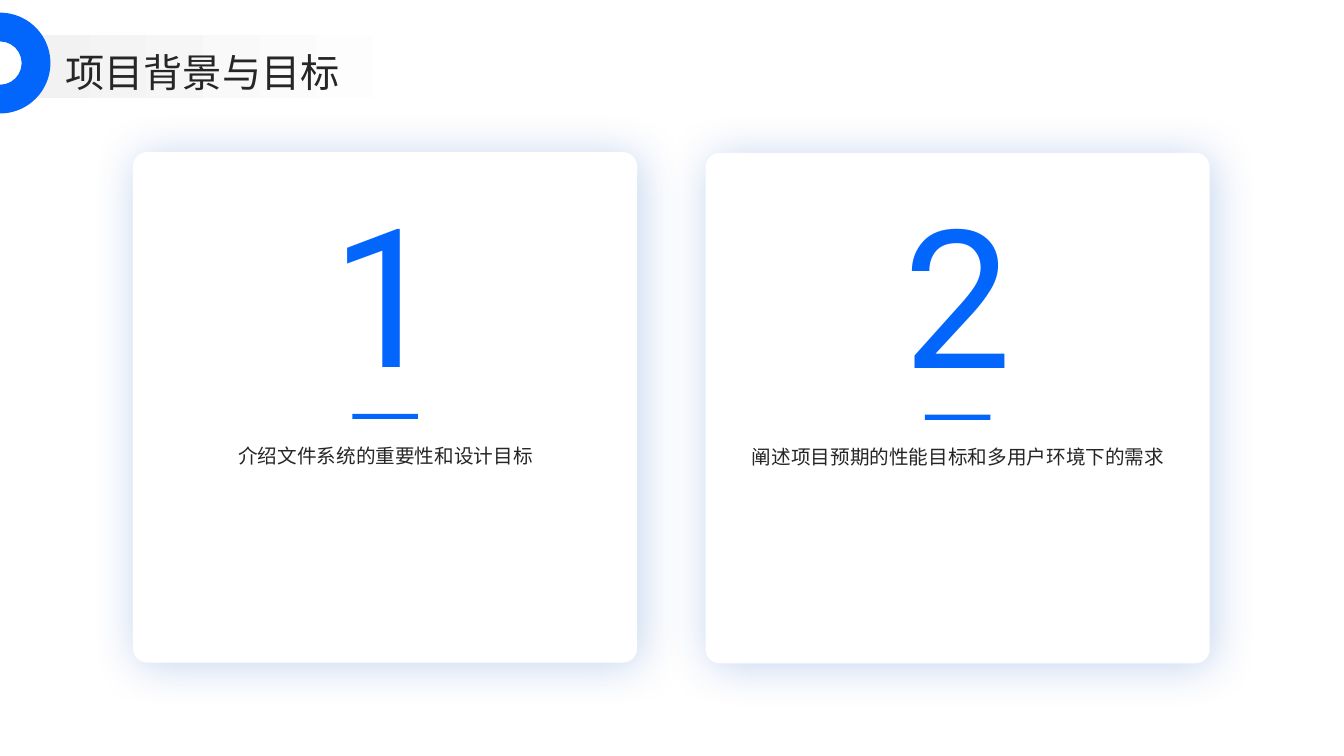
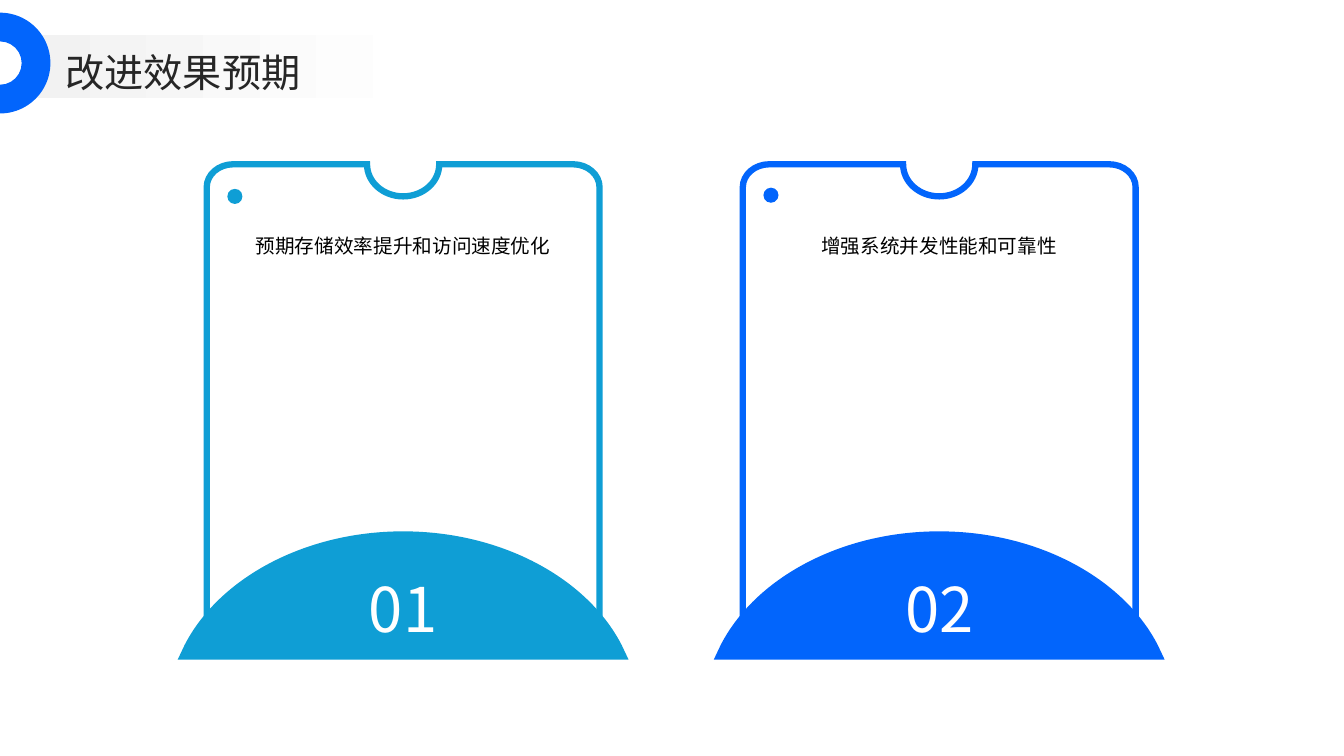
from dataclasses import dataclass

from lxml.etree import SubElement
from pptx import Presentation
from pptx.dml.color import RGBColor
from pptx.enum.shapes import MSO_SHAPE
from pptx.enum.text import MSO_ANCHOR, MSO_AUTO_SIZE, PP_ALIGN
from pptx.oxml.ns import qn
from pptx.presentation import Presentation as Deck
from pptx.shapes.autoshape import Shape
from pptx.slide import Slide
from pptx.text.text import TextFrame
from pptx.util import Cm, Pt

BLUE = RGBColor(0x02, 0x65, 0xFC)
CYAN = RGBColor(0x0F, 0x9E, 0xD5)
NAVY = RGBColor(0x01, 0x4C, 0xBD)
INK = RGBColor(0x26, 0x26, 0x26)
PALE = RGBColor(0xF2, 0xF2, 0xF2)
BLACK = RGBColor(0, 0, 0)
WHITE = RGBColor(0xFF, 0xFF, 0xFF)
SANS = "Noto Sans CJK SC"

Point = tuple[float, float]
Box = tuple[float, float, float, float]


@dataclass(frozen=True)
class Goal:
    label: str
    text: str
    left: float
    top: float


@dataclass(frozen=True)
class Badge:
    label: str
    text: str
    mid: float
    dot: float
    color: RGBColor


@dataclass(frozen=True)
class Half:
    kinds: str
    points: list[Point]


GOALS = [
    Goal("1", "介绍文件系统的重要性和设计目标", 3.37, 3.85),
    Goal("2", "阐述项目预期的性能目标和多用户环境下的需求", 17.8, 3.87),
]
BADGES = [
    Badge("01", "预期存储效率提升和访问速度优化", 10.16, 4.76, CYAN),
    Badge("02", "增强系统并发性能和可靠性", 23.67, 4.73, BLUE),
]
FRAME = Half("CLCLC", [
    (0, 0.81), (0.5, 0.81), (0.91, 0.45), (0.91, 0),
    (4.28, 0), (4.65, 0), (4.95, 0.26), (4.95, 0.58),
    (4.95, 11.41), (4.95, 11.73), (4.65, 11.99), (4.28, 11.99),
])
DOME = Half("CL", [(0, 0), (2.49, 0), (4.65, 1.19), (5.51, 2.87), (5.68, 3.23)])


def write(frame: TextFrame, text: str, *, size: float, color: RGBColor,
          font: str = SANS, align: PP_ALIGN = PP_ALIGN.CENTER,
          anchor: MSO_ANCHOR = MSO_ANCHOR.MIDDLE, space: float = 1.0) -> None:
    frame.word_wrap = True
    frame.auto_size = MSO_AUTO_SIZE.NONE
    frame.vertical_anchor = anchor
    frame.margin_left = frame.margin_right = 0
    frame.margin_top = frame.margin_bottom = 0
    para = frame.paragraphs[0]
    para.alignment = align
    para.line_spacing = space
    run = para.add_run()
    run.text = text
    run.font.size = Pt(size)
    run.font.color.rgb = color
    run.font.name = font
    SubElement(run._r.get_or_add_rPr(), qn("a:ea"), typeface=font)


def label(slide: Slide, box: Box, text: str, **style) -> None:
    area = slide.shapes.add_textbox(*map(Cm, box))
    write(area.text_frame, text, **style)


def paint(shape: Shape, fill: RGBColor, line: RGBColor | None = None,
          width: float = 1) -> None:
    shape.shadow.inherit = False
    shape.fill.solid()
    shape.fill.fore_color.rgb = fill
    if line is None:
        shape.line.fill.background()
    else:
        shape.line.color.rgb = line
        shape.line.width = Pt(width)
        SubElement(shape.element.spPr.find(qn("a:ln")), qn("a:miter"), lim="800000")


def draw(slide: Slide, kind: MSO_SHAPE, box: Box, fill: RGBColor,
         line: RGBColor | None = None) -> Shape:
    shape = slide.shapes.add_shape(kind, *map(Cm, box))
    paint(shape, fill, line)
    return shape


def glow(shape: Shape) -> None:
    effect = shape.element.spPr.find(qn("a:effectLst"))
    outer = SubElement(effect, qn("a:outerShdw"), blurRad=str(Pt(33)),
                       dist=str(Pt(3)), dir="2700000", algn="ctr", rotWithShape="0")
    tint = SubElement(outer, qn("a:srgbClr"), val=str(NAVY))
    SubElement(tint, qn("a:alpha"), val="24000")


def bend(shape: Shape, kinds: str) -> None:
    route = next(shape.element.iter(qn("a:path")))
    lines = iter(route.findall(qn("a:lnTo")))
    for kind in kinds:
        first = next(lines)
        if kind == "C":
            for extra in (next(lines), next(lines)):
                first.append(extra[0])
                route.remove(extra)
            first.tag = qn("a:cubicBezTo")


def mirror(slide: Slide, mid: float, top: float, half: Half) -> Shape:
    both = half.points + [(-x, y) for x, y in reversed(half.points)]
    spots = [(Cm(mid + x), Cm(top + y)) for x, y in both]
    pen = slide.shapes.build_freeform(*spots[0])
    pen.add_line_segments(spots[1:], close=True)
    shape = pen.convert_to_shape()
    bend(shape, half.kinds + "L" + half.kinds[::-1])
    return shape


def start(deck: Deck, text: str) -> Slide:
    slide = deck.slides.add_slide(deck.slide_layouts[5])
    title = slide.shapes.title
    title.left, title.top, title.width, title.height = map(Cm, (1.65, 1.1, 30.18, 1.3))
    write(title.text_frame, text, size=28, color=INK, align=PP_ALIGN.LEFT, space=1.1)
    band = draw(slide, MSO_SHAPE.RECTANGLE, (0.83, 0.89, 12.5, 1.57), PALE)
    band.fill.gradient()
    band.fill.gradient_angle = 0
    for stop, color, place in zip(band.fill.gradient_stops, (PALE, WHITE), (0, 0.8)):
        stop.color.rgb = color
        stop.position = place
    title.element.addprevious(band.element)
    ring = draw(slide, MSO_SHAPE.BLOCK_ARC, (-1.27, 0.32, 2.54, 2.54), BLUE)
    ring.rotation = 90
    for index, value in enumerate((108, 0, 0.285)):
        ring.adjustments[index] = value
    return slide


def show_goal(slide: Slide, goal: Goal) -> None:
    left, top, inner = goal.left, goal.top, goal.left + 0.7
    card = draw(slide, MSO_SHAPE.ROUNDED_RECTANGLE, (left, top, 12.67, 12.83), WHITE, WHITE)
    card.adjustments[0] = 0.027
    glow(card)
    label(slide, (inner, top - 0.08, 11.3, 7.09), goal.label, size=138, color=BLUE,
          font="Roboto")
    draw(slide, MSO_SHAPE.RECTANGLE, (left + 5.51, top + 6.58, 1.65, 0.13), BLUE)
    label(slide, (inner, top + 7.05, 11.3, 5.31), goal.text, size=14, color=INK,
          anchor=MSO_ANCHOR.TOP, space=1.5)


def show_badge(slide: Slide, badge: Badge) -> None:
    mid = badge.mid
    paint(mirror(slide, mid, 4.14, FRAME), WHITE, badge.color, 4.5)
    paint(mirror(slide, mid, 13.39, DOME), badge.color)
    label(slide, (mid - 4.04, 5.65, 8.08, 7.32), badge.text, size=14, color=BLACK,
          anchor=MSO_ANCHOR.TOP, space=1.4)
    label(slide, (mid - 2.68, 14.35, 5.36, 1.73), badge.label, size=44, color=WHITE, space=1.1)
    draw(slide, MSO_SHAPE.OVAL, (mid - 4.43, badge.dot, 0.38, 0.38), badge.color)


def main() -> None:
    deck = Presentation()
    deck.slide_width, deck.slide_height = Cm(33.87), Cm(19.05)
    slide = start(deck, "项目背景与目标")
    for goal in GOALS:
        show_goal(slide, goal)
    slide = start(deck, "改进效果预期")
    for badge in BADGES:
        show_badge(slide, badge)
    deck.save("out.pptx")


if __name__ == "__main__":
    main()
